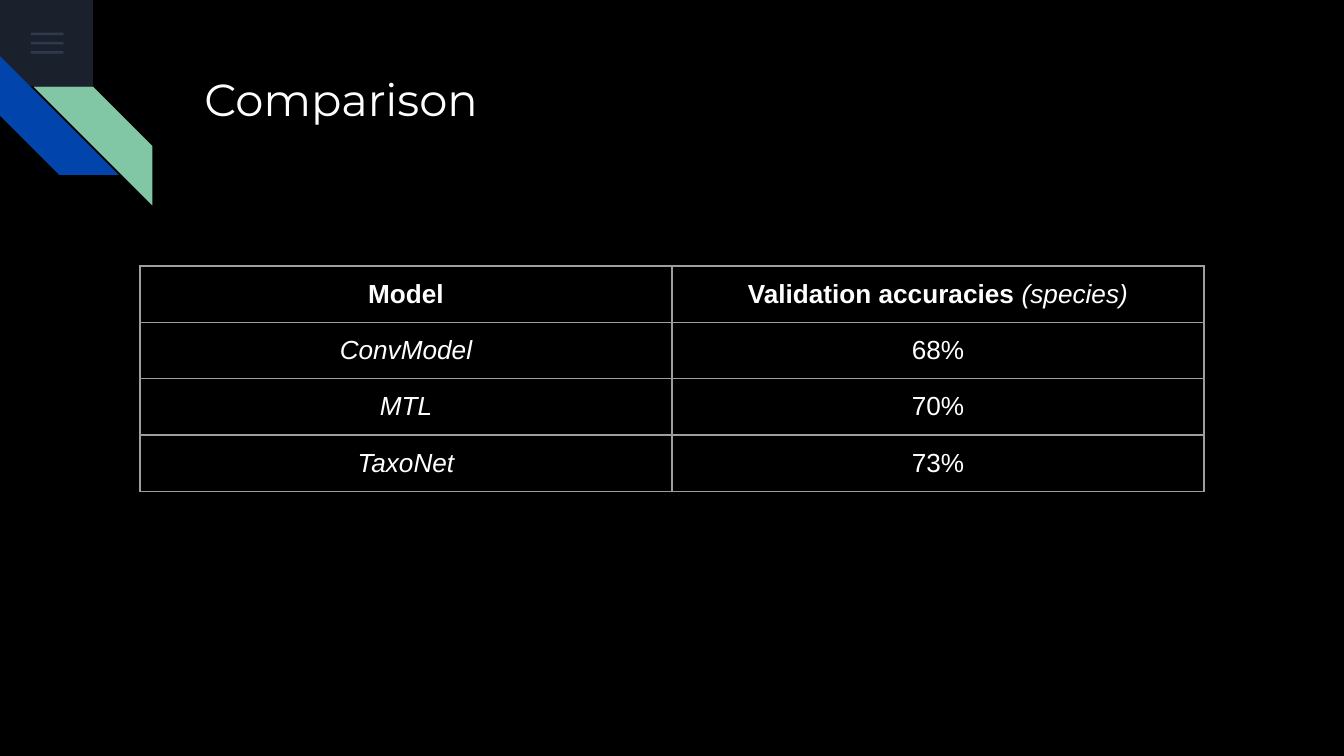
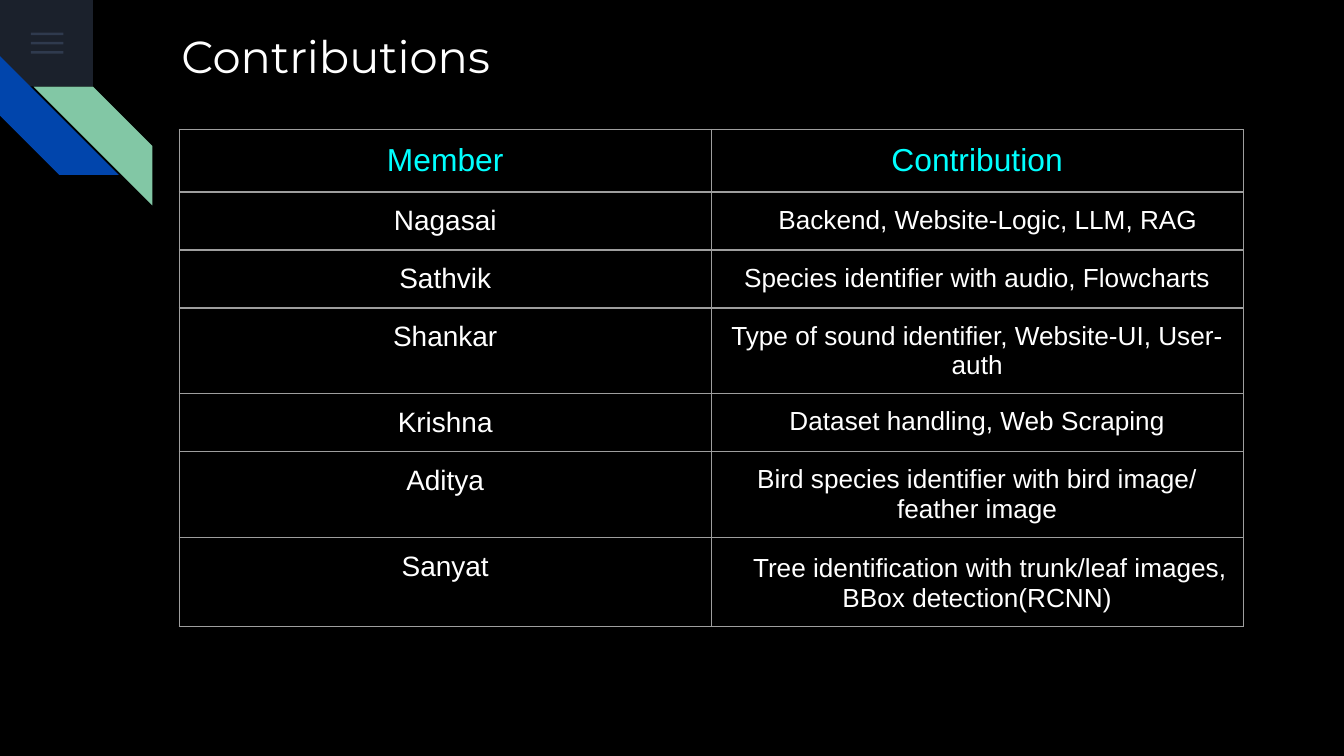
from dataclasses import dataclass
from lxml import etree
from pptx import Presentation, util as u
from pptx.dml.color import RGBColor
from pptx.enum import shapes as es, text as et
from pptx.oxml import ns

# Grid: 100 columns across a 16:9 slide, with square cells
WIDE = u.Inches(10)
HIGH = WIDE * 9 // 16
UNIT = WIDE // 100
PAD = 1
ROW = 4.17
COL = 39.58

WHITE, BLACK, CYAN = "FFFFFF", "000000", "00FFFF"
NAVY, SLATE, BLUE, MINT, GREY = "1B212C", "55688B", "0145AC", "82C7A5", "9E9E9E"
SANS, HEAD = "Arial", "Montserrat"


@dataclass(frozen=True)
class Box:
    x: float
    y: float
    w: float
    h: float

    def emu(self) -> tuple:
        return tuple(grid(n) for n in (self.x, self.y, self.w, self.h))


@dataclass(frozen=True)
class Deco:
    kind: es.MSO_SHAPE
    box: Box
    fill: str
    alpha: int = 100
    turn: int = 0
    flip: bool = False


@dataclass(frozen=True)
class Run:
    text: str
    size: float = 14
    color: str = WHITE
    bold: bool = False
    slant: bool = False


@dataclass(frozen=True)
class Cell:
    lines: tuple  # each line is a tuple of runs
    shift: float = 0  # left indent of the first line
    top: float = PAD


RECT, BAND = es.MSO_SHAPE.RECTANGLE, es.MSO_SHAPE.DIAGONAL_STRIPE
DECOS = (
    Deco(RECT, Box(0, 0, 6.92, 6.44), NAVY),
    *(Deco(RECT, Box(2.3, 2.42 + 0.69 * i, 2.42, 0.2), SLATE, alpha=36)
      for i in range(3)),
    Deco(BAND, Box(0, 4.18, 8.84, 8.84), BLUE, turn=270),
    Deco(BAND, Box(2.5, 6.44, 8.84, 8.84), MINT, flip=True),
)


def grid(n: float) -> int:
    return round(n * UNIT)


def rgb(code: str) -> RGBColor:
    return RGBColor.from_string(code)


def put(para, text: str, *, size: float, color: str = WHITE, font: str = SANS,
        bold: bool = False, slant: bool = False) -> None:
    run = para.add_run()
    run.text = text
    face = run.font
    face.name, face.size = font, u.Pt(size)
    face.bold, face.italic = bold, slant
    face.color.rgb = rgb(color)


def inset(item, top: float = PAD) -> None:
    item.margin_left = item.margin_right = item.margin_bottom = grid(PAD)
    item.margin_top = grid(top)


def draw(slide, deco: Deco) -> None:
    shape = slide.shapes.add_shape(deco.kind, *deco.box.emu())
    shape.shadow.inherit = False
    shape.line.fill.background()
    shape.fill.solid()
    shape.fill.fore_color.rgb = rgb(deco.fill)
    shape.rotation = deco.turn
    props = shape._element.spPr
    if deco.flip:
        props.find(ns.qn("a:xfrm")).set("flipH", "1")
    if deco.alpha < 100:
        tint = props.find(".//" + ns.qn("a:srgbClr"))
        etree.SubElement(tint, ns.qn("a:alpha"), val=str(deco.alpha * 1000))


def edge(cell) -> None:
    props = cell._tc.get_or_add_tcPr()
    for side in "LRTB":
        line = etree.SubElement(props, ns.qn("a:ln" + side), w=str(u.Pt(0.75)))
        fill = etree.SubElement(line, ns.qn("a:solidFill"))
        etree.SubElement(fill, ns.qn("a:srgbClr"), val=GREY)


def fill_cell(cell, data: Cell, anchor) -> None:
    edge(cell)
    cell.fill.background()
    inset(cell, data.top)
    cell.vertical_anchor = anchor
    frame = cell.text_frame
    for i, runs in enumerate(data.lines):
        para = frame.add_paragraph() if i else frame.paragraphs[0]
        para.alignment = et.PP_ALIGN.CENTER
        if data.shift and not i:
            props = para._p.get_or_add_pPr()
            props.set("marL", str(grid(data.shift)))
            props.set("indent", "0")
        for run in runs:
            put(para, run.text, size=run.size, color=run.color,
                bold=run.bold, slant=run.slant)


def add_grid(slide, x: float, y: float, rows: list, anchor) -> None:
    count = len(rows[0])
    box = Box(x, y, COL * count, ROW * len(rows))
    table = slide.shapes.add_table(len(rows), count, *box.emu()).table
    table.first_row = table.horz_banding = False
    for r, row in enumerate(rows):
        for c, data in enumerate(row):
            fill_cell(table.cell(r, c), data, anchor)


def add_page(deck, name: str, x: float, y: float):
    slide = deck.slides.add_slide(deck.slide_layouts[5])
    back = slide.background.fill
    back.solid()
    back.fore_color.rgb = rgb(BLACK)
    for deco in DECOS:
        draw(slide, deco)
    title = slide.shapes.title
    title.left, title.top, title.width, title.height = Box(x, y, 77, 10).emu()
    frame = title.text_frame
    inset(frame)
    frame.word_wrap = True
    frame.auto_size = et.MSO_AUTO_SIZE.NONE
    frame.vertical_anchor = et.MSO_ANCHOR.TOP
    para = frame.paragraphs[0]
    para.alignment = et.PP_ALIGN.LEFT
    put(para, name, size=24, font=HEAD)
    return slide


def one(text: str, shift: float = 0, **style) -> Cell:
    return Cell(((Run(text, **style),),), shift)


def main() -> None:
    deck = Presentation()
    deck.slide_width, deck.slide_height = WIDE, HIGH

    # Model scores
    scores = {"ConvModel": "68%", "MTL": "70%", "TaxoNet": "73%"}
    head = Cell(((Run("Validation accuracies", bold=True),
                  Run(" (species)", slant=True)),))
    rows = [(one("Model", bold=True), head)]
    rows += [(one(k, slant=True), one(v)) for k, v in scores.items()]
    slide = add_page(deck, "Comparison", 14.2, 4.34)
    add_grid(slide, 10.42, 19.8, rows, et.MSO_ANCHOR.MIDDLE)

    # Team tasks
    trees = Cell(((Run("Tree identification with trunk/leaf images,"),),
                  (Run("BBox detection(RCNN)"),)), shift=1.9, top=1.25)
    tasks = {
        "Nagasai": one("Backend, Website-Logic, LLM, RAG", shift=1.6),
        "Sathvik": one("Species identifier with audio, Flowcharts"),
        "Shankar": one("Type of sound identifier, Website-UI, User-auth"),
        "Krishna": one("Dataset handling, Web Scraping"),
        "Aditya": one("Bird species identifier with bird image/ feather image"),
        "Sanyat": trees,
    }
    rows = [tuple(one(t, size=17, color=CYAN) for t in ("Member", "Contribution"))]
    rows += [(one(k, size=15), v) for k, v in tasks.items()]
    slide = add_page(deck, "Contributions", 12.5, 1.1)
    add_grid(slide, 13.34, 9.63, rows, et.MSO_ANCHOR.TOP)

    deck.save("out.pptx")


if __name__ == "__main__":
    main()
